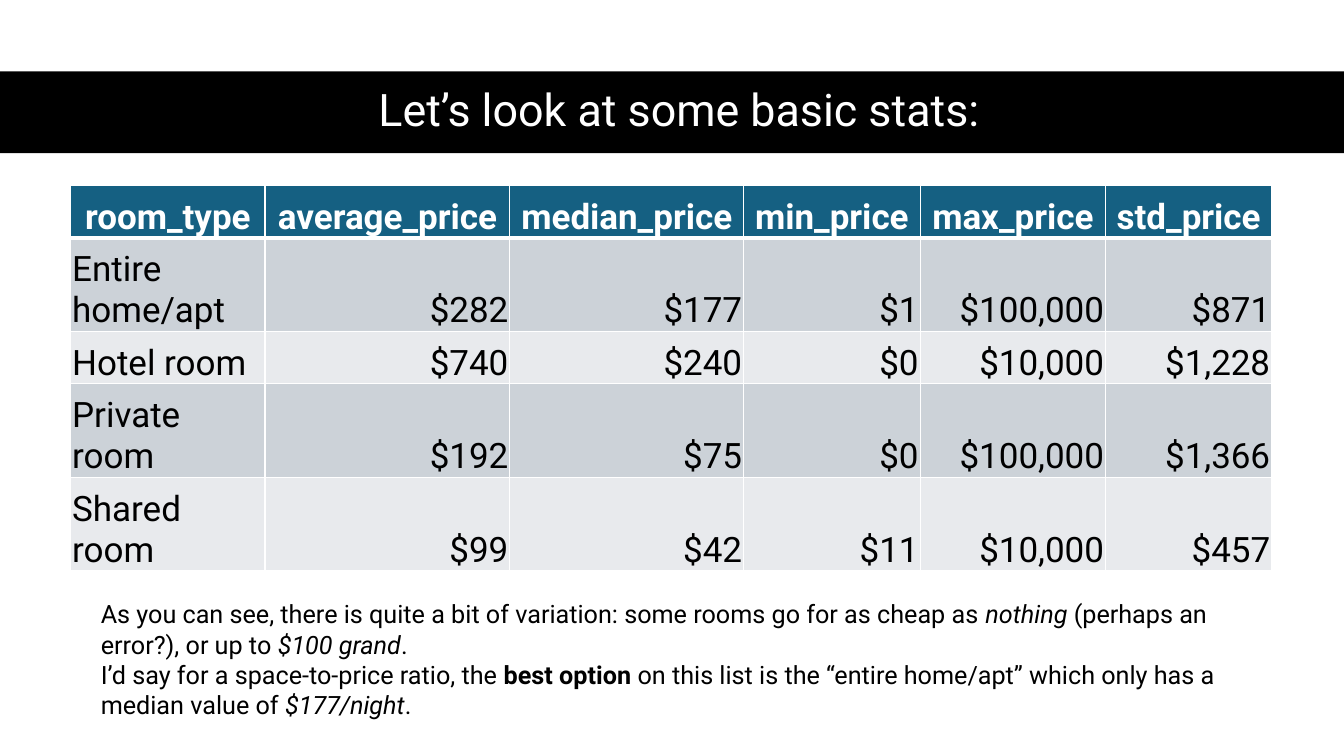
"""Build a slide with a table of room price statistics."""
from lxml.etree import SubElement
from pptx import Presentation
from pptx.dml.color import RGBColor
from pptx.enum.shapes import MSO_SHAPE as Shape
from pptx.enum.text import MSO_ANCHOR as Anchor, PP_ALIGN as Align
from pptx.oxml.ns import qn
from pptx.util import Cm, Pt

TITLE = "Let’s look at some basic stats:"
ROWS = [
    ("room_type", "average_price", "median_price", "min_price", "max_price", "std_price"),
    ("Entire home/apt", "$282", "$177", "$1", "$100,000", "$871"),
    ("Hotel room", "$740", "$240", "$0", "$10,000", "$1,228"),
    ("Private room", "$192", "$75", "$0", "$100,000", "$1,366"),
    ("Shared room", "$99", "$42", "$11", "$10,000", "$457"),
]
NOTES = [
    [("As you can see, there is quite a bit of variation: some rooms go for as cheap as ", {}),
     ("nothing", {"italic": True}),
     (" (perhaps an error?), or up to ", {}),
     ("$100 grand", {"italic": True}),
     (".", {})],
    [("I’d say for a space-to-price ratio, the ", {}),
     ("best option ", {"bold": True}),
     ("on this list is the “entire home/apt” which only has a median value of ", {}),
     ("$177/night", {"italic": True}),
     (".", {})],
]
WIDTHS = [4.9, 6.17, 5.89, 4.45, 4.67, 4.19]
HEIGHTS = [1.32, 2.36, 1.32, 2.36, 2.36]
BLACK, WHITE, BLUE = "000000", "FFFFFF", "156082"
BANDS = ["E8EAED", "CCD2D8"]
INSETS = {"margin_left": Cm(0.04), "margin_right": Cm(0.04),
          "margin_top": Cm(0.04), "margin_bottom": 0,
          "vertical_anchor": Anchor.BOTTOM}


def paint(fill, color):
    fill.solid()
    fill.fore_color.rgb = RGBColor.from_string(color)


def write(para, text, size, color, style):
    run = para.add_run()
    run.text = text
    for key, value in {"name": "Roboto", "size": Pt(size), **style}.items():
        setattr(run.font, key, value)
    paint(run.font.fill, color)


def add_box(slide, place, anchor):
    frame = slide.shapes.add_textbox(*map(Cm, place)).text_frame
    frame.word_wrap = True
    frame.vertical_anchor = anchor
    return frame


def edge(cell, widths):
    props = cell._tc.get_or_add_tcPr()
    for side, width in widths.items():
        line = SubElement(props, qn(f"a:ln{side}"), w=str(Pt(width)))
        fill = SubElement(line, qn("a:solidFill"))
        SubElement(fill, qn("a:srgbClr"), val=WHITE)


def add_stats(slide):
    place = map(Cm, (1.78, 4.67, sum(WIDTHS), sum(HEIGHTS)))
    table = slide.shapes.add_table(len(ROWS), len(WIDTHS), *place).table
    for col, width in zip(table.columns, WIDTHS):
        col.width = Cm(width)
    for r, texts in enumerate(ROWS):
        table.rows[r].height = Cm(HEIGHTS[r])
        head = r == 0
        for c, text in enumerate(texts):
            cell = table.cell(r, c)
            for key, value in INSETS.items():
                setattr(cell, key, value)
            edge(cell, {"L": 1, "R": 1, "T": 3 if r == 1 else 1, "B": 3 if head else 1})
            paint(cell.fill, BLUE if head else BANDS[r % 2])
            para = cell.text_frame.paragraphs[0]
            para.alignment = Align.CENTER if head else Align.RIGHT if c else Align.LEFT
            write(para, text, 25, WHITE if head else BLACK, {"bold": head})


def main():
    deck = Presentation()
    deck.slide_width, deck.slide_height = Cm(33.87), Cm(19.05)
    slide = deck.slides.add_slide(deck.slide_layouts[6])

    band = slide.shapes.add_shape(Shape.RECTANGLE, 0, Cm(1.8), deck.slide_width, Cm(2.06))
    band.shadow.inherit = False
    paint(band.fill, BLACK)
    band.line.fill.background()

    title = add_box(slide, (1.55, 1.78, 31.14, 2.06), Anchor.MIDDLE).paragraphs[0]
    title.alignment, title.line_spacing = Align.CENTER, 0.9
    write(title, TITLE, 32, WHITE, {})

    add_stats(slide)

    notes = add_box(slide, (2.29, 14.96, 28.83, 3.33), Anchor.TOP)
    for i, runs in enumerate(NOTES):
        para = notes.add_paragraph() if i else notes.paragraphs[0]
        for text, style in runs:
            write(para, text, 18, BLACK, style)
    deck.save("out.pptx")


if __name__ == "__main__":
    main()
